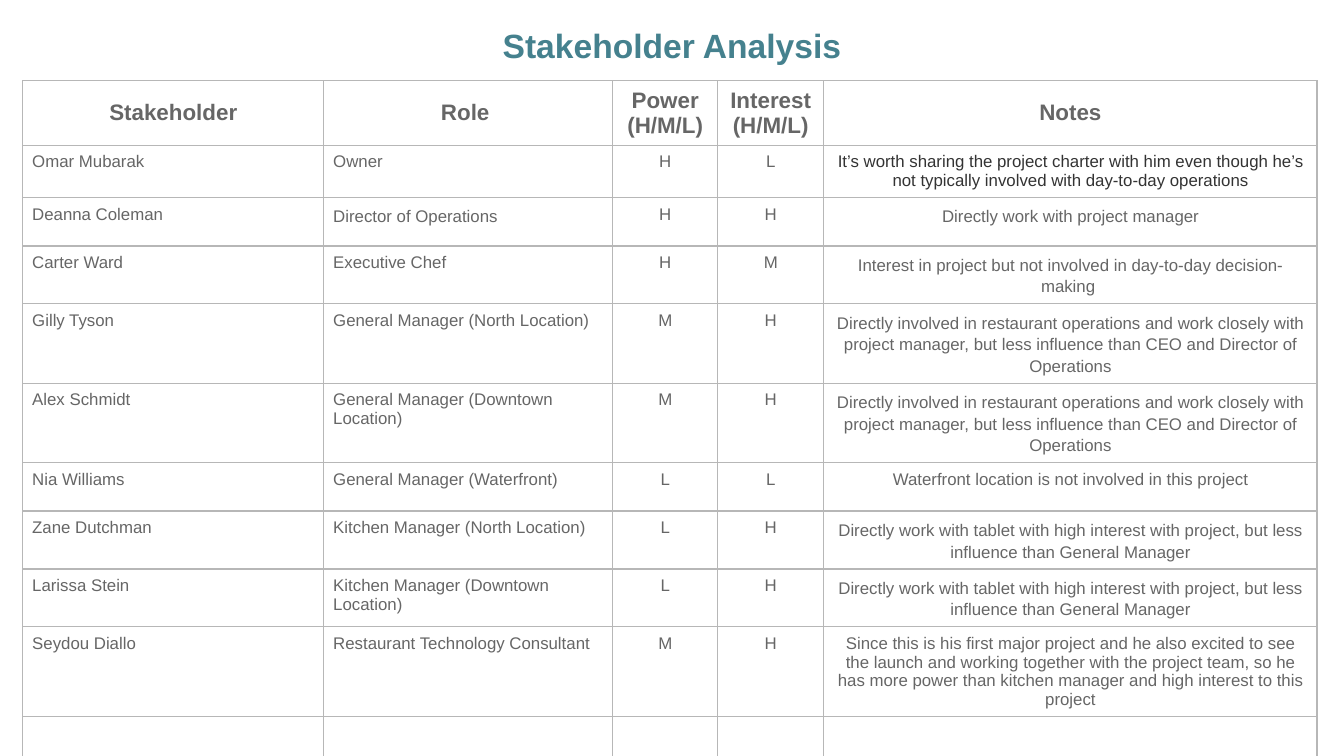
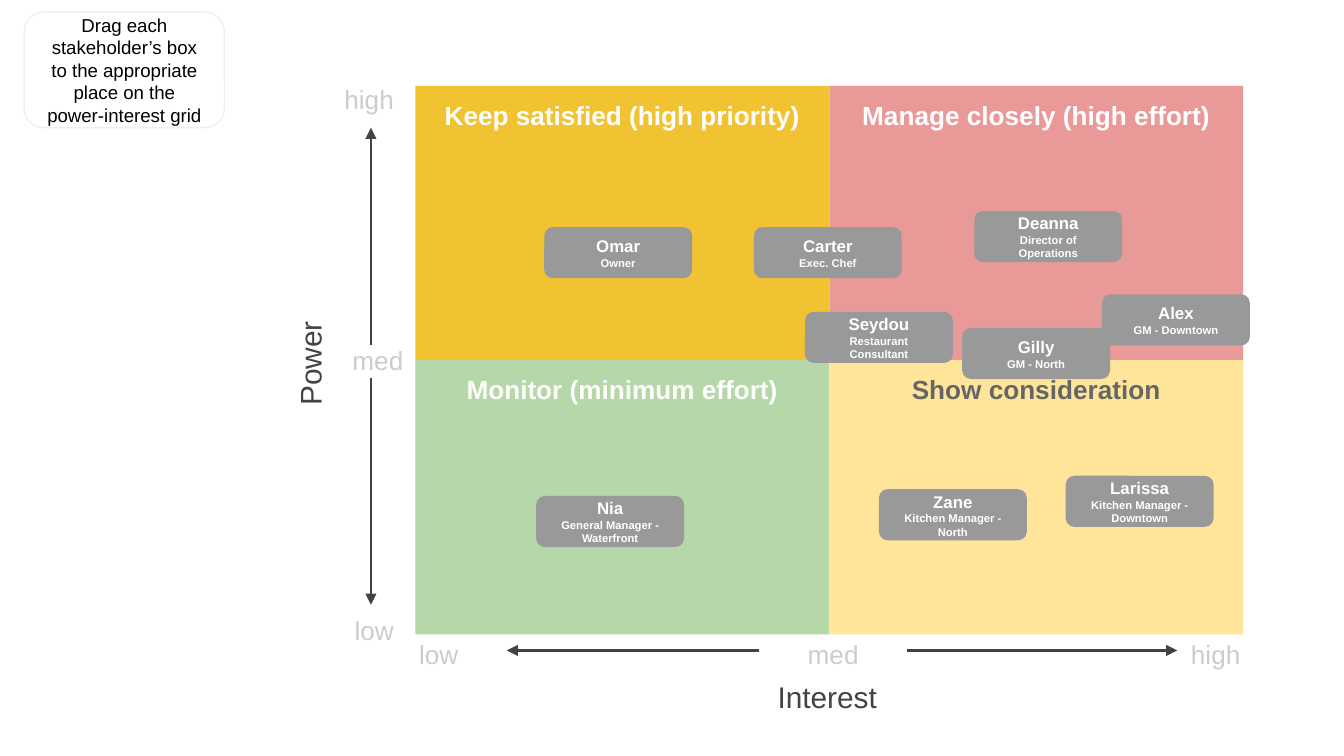
import lxml.etree
import pptx
import pptx.dml.color
import pptx.enum.shapes
import pptx.enum.text
import pptx.oxml.ns
import pptx.util

Inches = pptx.util.Inches
SHAPE = pptx.enum.shapes.MSO_SHAPE
ALIGN = {"l": pptx.enum.text.PP_ALIGN.LEFT, "c": pptx.enum.text.PP_ALIGN.CENTER,
         "r": pptx.enum.text.PP_ALIGN.RIGHT}
ANCHOR = {"t": pptx.enum.text.MSO_ANCHOR.TOP, "m": pptx.enum.text.MSO_ANCHOR.MIDDLE}

GM_NOTE = ("Directly involved in restaurant operations and work closely with project manager, "
           "but less influence than CEO and Director of Operations")
KITCHEN_NOTE = ("Directly work with tablet with high interest with project, "
                "but less influence than General Manager")

HEADER = ["Stakeholder", "Role ", "Power (H/M/L)", "Interest (H/M/L)", "Notes"]
STAKEHOLDERS = [
    ["Omar Mubarak", "Owner", "H", "L",
     "It’s worth sharing the project charter with him even though he’s not typically "
     "involved with day-to-day operations"],
    ["Deanna Coleman", "Director of Operations", "H", "H", "Directly work with project manager"],
    ["Carter Ward", "Executive Chef", "H", "M",
     "Interest in project but not involved in day-to-day decision-making "],
    ["Gilly Tyson", "General Manager (North Location)", "M", "H", GM_NOTE],
    ["Alex Schmidt", "General Manager (Downtown Location)", "M", "H", GM_NOTE],
    ["Nia Williams", "General Manager (Waterfront)", "L", "L",
     "Waterfront location is not involved in this project"],
    ["Zane Dutchman", "Kitchen Manager (North Location)", "L", "H", KITCHEN_NOTE],
    ["Larissa Stein", "Kitchen Manager (Downtown Location)", "L", "H", KITCHEN_NOTE],
    ["Seydou Diallo", "Restaurant Technology Consultant", "M", "H",
     "Since this is his first major project and he also excited to see the launch and working "
     "together with the project team, so he has more power than kitchen manager and high "
     "interest to this project"],
]
SPARE_ROWS = 3
COLUMN_WIDTHS = [2.24, 2.15, 0.78, 0.79, 3.67]
LOOSE_CELLS = {(2, 1)} | {(row, 4) for row in (2, 3, 4, 5, 7, 8)}

QUADRANTS = [
    ("Keep satisfied (high priority)", "F1C232", "FFFFFF"),
    ("Manage closely (high effort)", "EA9999", "FFFFFF"),
    ("Monitor (minimum effort)", "B6D7A8", "FFFFFF"),
    ("Show consideration", "FFE599", "666666"),
]
PEOPLE = [
    ("Omar", "Owner", 4.05, 1.69),
    ("Deanna", "Director of Operations", 7.25, 1.57),
    ("Carter", "Exec. Chef", 5.61, 1.69),
    ("Gilly", "GM - North", 7.16, 2.44),
    ("Alex", "GM - Downtown", 8.2, 2.19),
    ("Zane", "Kitchen Manager - North", 6.54, 3.64),
    ("Larissa", "Kitchen Manager - Downtown", 7.93, 3.54),
    ("Seydou", "Restaurant Consultant", 5.99, 2.32),
    ("Nia", "General Manager - Waterfront", 3.99, 3.69),
]


def rgb(value):
    return pptx.dml.color.RGBColor.from_string(value)


def sub(parent, tag, **attrs):
    return lxml.etree.SubElement(parent, pptx.oxml.ns.qn(tag), **attrs)


def write(tf, text, sizes=(9,), color="666666", bold=False, align="c", spacing=None):
    for i, line in enumerate(text.split("\n")):
        p = tf.paragraphs[0] if i == 0 else tf.add_paragraph()
        p.alignment = ALIGN[align]
        if spacing:
            p.line_spacing = spacing
        r = p.add_run()
        r.text = line
        r.font.name = "Arial"
        r.font.size = pptx.util.Pt(sizes[i])
        r.font.bold = bold
        r.font.color.rgb = rgb(color)


class Deck:
    title_color = "45818E"
    border = "B7B7B7"
    axis = "434343"
    scale = "CCCCCC"
    tag = "999999"

    def __init__(self):
        self.prs = pptx.Presentation()
        self.prs.slide_width = Inches(10)
        self.prs.slide_height = Inches(10 * 9 / 16)
        self.s = None

    def slide(self, layout):
        self.s = self.prs.slides.add_slide(self.prs.slide_layouts[layout])

    def frame(self, sp, anchor):
        tf = sp.text_frame
        tf.word_wrap = True
        tf.auto_size = pptx.enum.text.MSO_AUTO_SIZE.NONE
        tf.vertical_anchor = ANCHOR[anchor]
        tf.margin_left = tf.margin_right = tf.margin_top = tf.margin_bottom = Inches(0.1)
        return tf

    def title(self, text, box):
        sp = self.s.shapes.title
        sp.left, sp.top, sp.width, sp.height = map(Inches, box)
        write(self.frame(sp, "t"), text, (18,), self.title_color, True, spacing=1.15)

    def text(self, text, box, anchor="t", rotation=0, **fmt):
        sp = self.s.shapes.add_textbox(*map(Inches, box))
        sp.rotation = rotation
        write(self.frame(sp, anchor), text, **fmt)
        return sp

    def shape(self, kind, text, box, fill=None, line=None, anchor="m", **fmt):
        sp = self.s.shapes.add_shape(kind, *map(Inches, box))
        sp.shadow.inherit = False
        if fill:
            sp.fill.solid()
            sp.fill.fore_color.rgb = rgb(fill)
        else:
            sp.fill.background()
        if line:
            sp.line.color.rgb = rgb(line)
            sp.line.width = pptx.util.Pt(0.75)
        else:
            sp.line.fill.background()
        write(self.frame(sp, anchor), text, **fmt)
        return sp

    def arrow(self, start, end, begin=None, finish=None):
        straight = pptx.enum.shapes.MSO_CONNECTOR.STRAIGHT
        c = self.s.shapes.add_connector(straight, *map(Inches, start + end))
        if begin:
            c.begin_connect(*begin)
        if finish:
            c.end_connect(*finish)
        c.line.color.rgb = rgb(self.axis)
        c.line.width = pptx.util.Pt(1.5)
        sub(c.line._get_or_add_ln(), "a:tailEnd", type="triangle")
        sub(c._element.spPr, "a:effectLst")

    def cell(self, cell):
        cell.margin_left = cell.margin_right = Inches(0.07)
        cell.margin_top = cell.margin_bottom = pptx.util.Pt(3.9)
        tc_pr = cell._tc.get_or_add_tcPr()
        for side in ("a:lnL", "a:lnR", "a:lnT", "a:lnB"):
            ln = sub(tc_pr, side, w=str(pptx.util.Pt(0.75)))
            sub(sub(ln, "a:solidFill"), "a:srgbClr", val=self.border)
        cell.fill.background()

    def table(self, rows, left, top, widths, header_height, row_height):
        height = header_height + row_height * (len(rows) - 1)
        table = self.s.shapes.add_table(len(rows), len(widths), Inches(left), Inches(top),
                                        Inches(sum(widths)), Inches(height)).table
        table.first_row = table.horz_banding = False
        for column, width in zip(table.columns, widths):
            column.width = Inches(width)
        for i, row in enumerate(rows):
            table.rows[i].height = Inches(row_height if i else header_height)
            for j, text in enumerate(row):
                cell = table.cell(i, j)
                self.cell(cell)
                if i == 0:
                    cell.vertical_anchor = ANCHOR["m"]
                    write(cell.text_frame, text, (12,), bold=True)
                elif text:
                    write(cell.text_frame, text, align="c" if j > 1 else "l",
                          color="333333" if (i, j) == (1, 4) else "666666",
                          spacing=1.15 if (i, j) in LOOSE_CELLS else None)


def build_analysis(deck):
    deck.slide(5)
    spare = [[""] * len(HEADER)] * SPARE_ROWS
    deck.table([HEADER] + STAKEHOLDERS + spare, 0.17, 0.6, COLUMN_WIDTHS, 0.28, 0.36)
    deck.title("Stakeholder Analysis", (0.83, 0.04, 8.34, 0.5))


def build_grid(deck):
    deck.slide(6)
    width, height = 3.08, 2.04
    for i, (text, fill, color) in enumerate(QUADRANTS):
        row, col = divmod(i, 2)
        deck.shape(SHAPE.RECTANGLE, text, (3.09 + col * width, 0.64 + row * height, width, height),
                   fill=fill, anchor="t", sizes=(14,), color=color, bold=True)

    axis = {"sizes": (16,), "color": deck.axis}
    scale = {"sizes": (14,), "color": deck.scale}
    deck.text("Power", (1.39, 2.53, 1.83, 0.35), anchor="m", rotation=270, **axis)
    deck.text("Interest", (5.41, 4.95, 1.49, 0.47), **axis)
    for text, box in (("high", (1.7, 0.52, 1.33, 0.26)), ("med", (2.42, 2.46, 0.68, 0.44)),
                      ("low", (1.7, 4.47, 1.33, 0.26))):
        deck.text(text, box, align="r", **scale)
    low, med, high = [deck.text(text, (left, 4.65, w, 0.38), **scale) for text, left, w in
                      (("low", 2.76, 1.01), ("med", 5.65, 1.1), ("high", 8.54, 1.01))]

    deck.arrow((2.76, 2.57), (2.76, 0.95))
    deck.arrow((2.76, 2.81), (2.76, 4.5))
    deck.arrow((6.75, 4.84), (8.76, 4.84), begin=(med, 3))
    deck.arrow((5.65, 4.84), (3.77, 4.84), begin=(med, 1), finish=(low, 3))

    deck.shape(SHAPE.ROUNDED_RECTANGLE,
               "Drag each stakeholder’s box to the appropriate place on the power-interest grid",
               (0.18, 0.09, 1.49, 0.86), line="EFEFEF", sizes=(10,), color="000000")
    for name, role, left, top in PEOPLE:
        deck.shape(SHAPE.ROUNDED_RECTANGLE, f"{name}\n{role}", (left, top, 1.1, 0.38),
                   fill=deck.tag, sizes=(9, 6), color="FFFFFF", bold=True)


def main():
    deck = Deck()
    build_analysis(deck)
    build_grid(deck)
    deck.prs.save("out.pptx")


if __name__ == "__main__":
    main()
